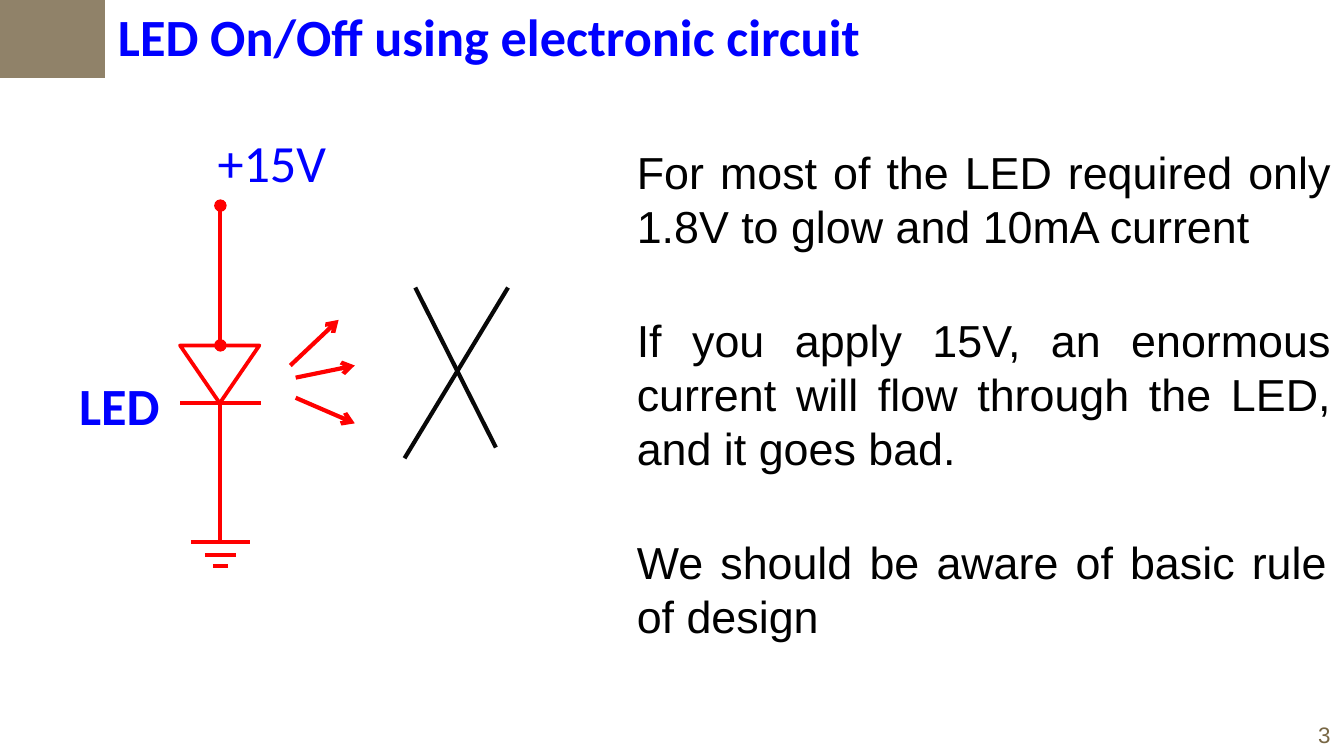
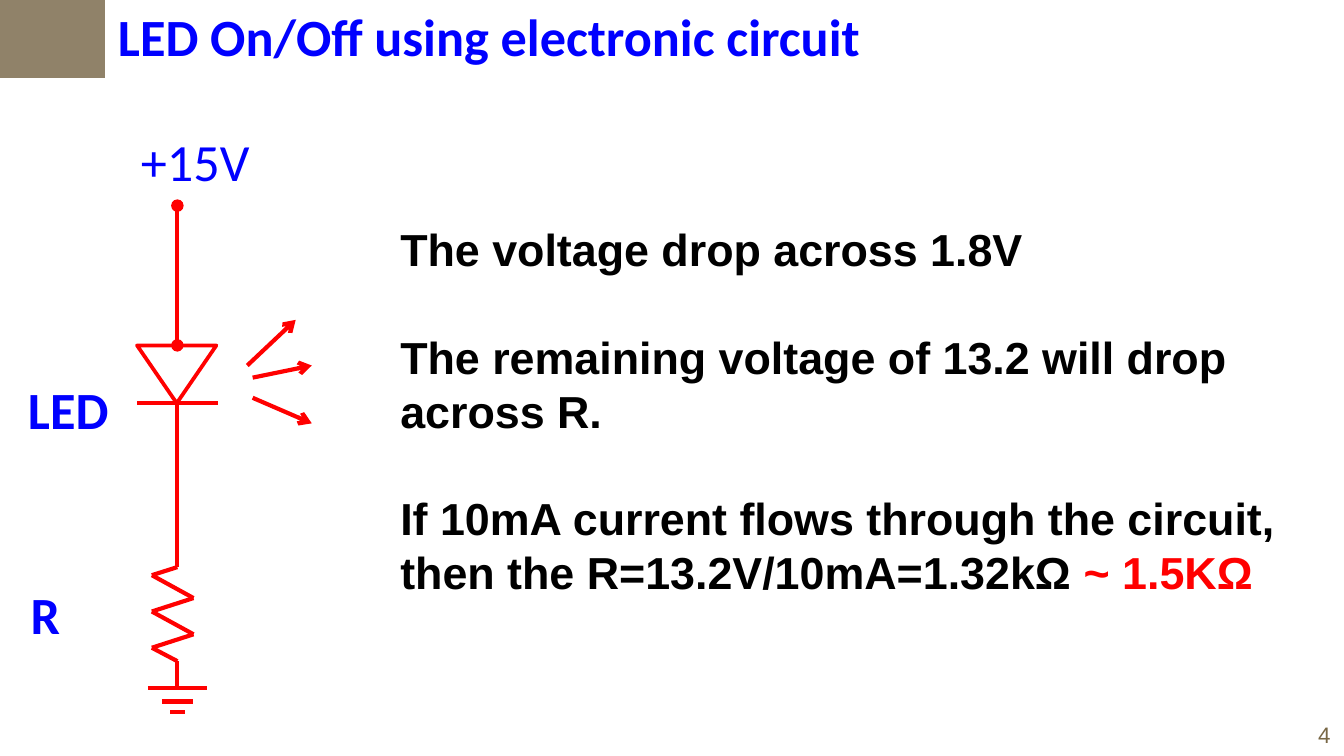
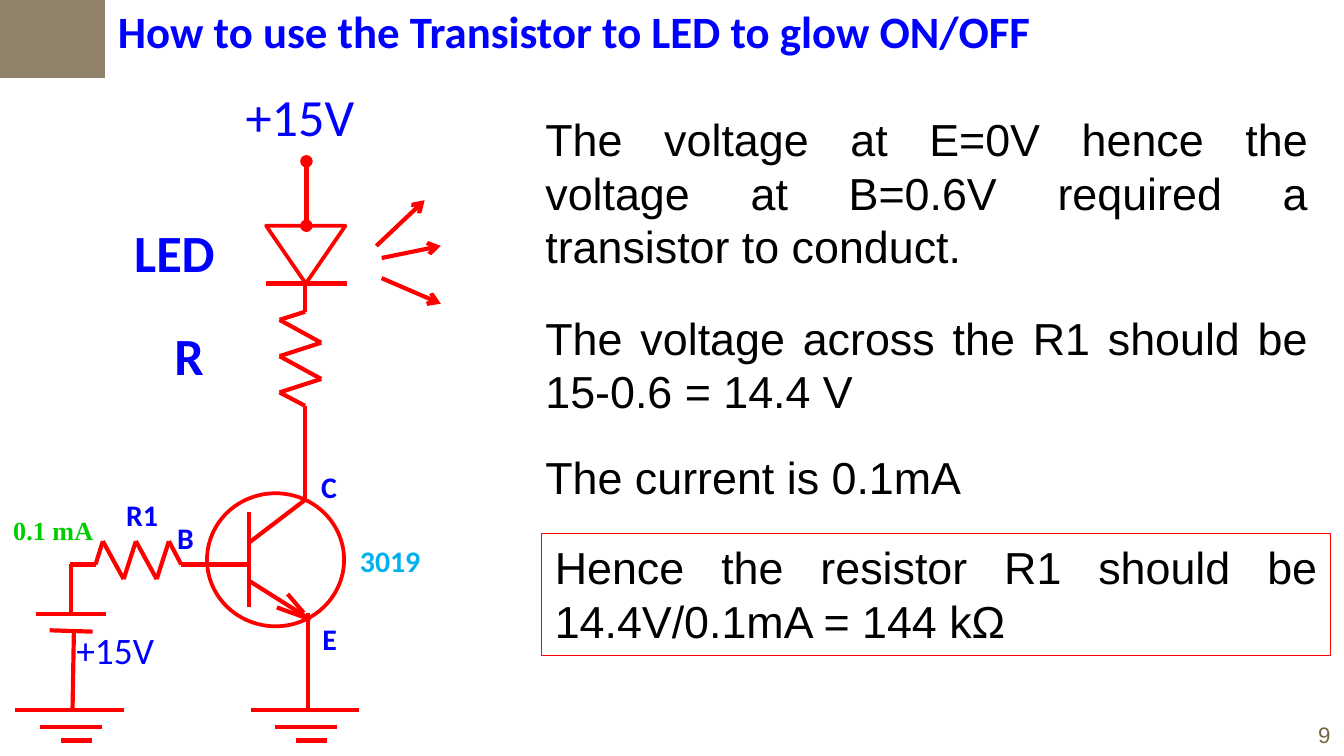
"""Build three slides on switching an LED with a circuit."""
from dataclasses import dataclass
from itertools import pairwise
from typing import NamedTuple, Optional

from lxml import etree
from pptx import Presentation
from pptx.dml.color import RGBColor
from pptx.enum import shapes as kinds, text as layout
from pptx.oxml import ns
from pptx.util import Inches, Pt

BLUE = RGBColor(0x00, 0x00, 0xFF)
RED = RGBColor(0xFF, 0x00, 0x00)
BLACK = RGBColor(0x00, 0x00, 0x00)
CROSS_BLACK = RGBColor(0x08, 0x08, 0x08)
GREEN = RGBColor(0x00, 0xCC, 0x00)
SKY = RGBColor(0x00, 0xB0, 0xF0)
TAUPE = RGBColor(0x90, 0x82, 0x69)
BROWN = RGBColor(0x78, 0x67, 0x45)

SLIDE_WIDTH = Inches(10)
SLIDE_HEIGHT = SLIDE_WIDTH * 9 // 16
WIRE_WIDTH = 2.25
OUTLINE_WIDTH = 2
JUSTIFY = layout.PP_ALIGN.JUSTIFY
LEFT = layout.PP_ALIGN.LEFT


class Box(NamedTuple):
    left: float
    top: float
    width: float
    height: float


class Style(NamedTuple):
    size: int
    colour: RGBColor
    font: str = "Calibri"
    bold: bool = False
    align: layout.PP_ALIGN = LEFT


class Run(NamedTuple):
    text: str
    colour: Optional[RGBColor] = None


class Wire(NamedTuple):
    x1: float
    y1: float
    x2: float
    y2: float
    head: str = ""
    tail: str = ""


class Bar(NamedTuple):
    drop: float
    width: float
    shift: float = 0


@dataclass(frozen=True)
class Caption:
    box: Box
    style: Style
    paragraphs: list[list[Run]]
    gap: int = 0
    wrap: bool = True


TITLE = Style(28, BLUE, bold=True)
SMALL_TITLE = Style(24, BLUE, bold=True)
NUMBER = Style(12, BROWN, "Arial")
BODY = Style(24, BLACK, "Arial", align=JUSTIFY)
BOLD_BODY = Style(24, BLACK, "Arial", bold=True)
VOLTAGE = Style(28, BLUE)
SMALL_VOLTAGE = Style(20, BLUE)
PART = Style(28, BLUE, bold=True)
PIN = Style(16, BLUE, bold=True)
MODEL = Style(16, SKY, bold=True)
CURRENT = Style(14, GREEN, "Times New Roman", bold=True)

RESISTOR = [(0, 0), (0.21, 0), (0.27, -0.19), (0.44, 0.12), (0.54, -0.19),
            (0.71, 0.12), (0.81, -0.19), (0.91, 0), (1.12, 0)]
SMALL_GROUND = [Bar(0, 0.44), Bar(0.1, 0.23), Bar(0.18, 0.11)]
LARGE_GROUND = [Bar(0, 0.81), Bar(0.13, 0.46, 0.01), Bar(0.23, 0.23, 0.05)]
LED_RAYS = [Wire(0.52, 0.15, 0.88, -0.19), Wire(0.56, 0.24, 1, 0.15),
            Wire(0.56, 0.39, 1, 0.58)]
TRANSISTOR = [
    Wire(1.85, 3.81, 1.85, 4.52),
    Wire(2.27, 3.72, 1.85, 4.04),
    Wire(2.31, 4.61, 1.85, 4.32),
    Wire(2.31, 4.61, 2.06, 4.52),
    Wire(2.26, 4.56, 2.14, 4.42),
    Wire(2.29, 4.56, 2.29, 5.27),
    Wire(1.41, 4.2, 1.84, 4.2),
]
BATTERY = [
    Wire(0.53, 4.2, 0.53, 4.58),
    Wire(0.27, 4.57, 0.79, 4.57),
    Wire(0.37, 4.69, 0.69, 4.7),
    Wire(0.55, 4.69, 0.54, 5.27),
]


def plain(text: str, box: Box, style: Style) -> Caption:
    """Return a caption with one paragraph of one run."""
    return Caption(box, style, [[Run(text)]])


def inches(*lengths: float) -> list[Inches]:
    """Convert numbers to lengths."""
    return [Inches(length) for length in lengths]


def fill_text(shape, caption: Caption) -> None:
    """Write the caption into a shape run by run."""
    frame = shape.text_frame
    frame.word_wrap = caption.wrap
    frame.auto_size = layout.MSO_AUTO_SIZE.SHAPE_TO_FIT_TEXT
    frame.vertical_anchor = layout.MSO_ANCHOR.TOP
    style = caption.style
    for index, runs in enumerate(caption.paragraphs):
        paragraph = frame.add_paragraph() if index else frame.paragraphs[0]
        paragraph.alignment = style.align
        if index and caption.gap:
            paragraph.space_before = Pt(caption.gap)
        for part in runs:
            run = paragraph.add_run()
            run.text = part.text
            run.font.name = style.font
            run.font.size = Pt(style.size)
            run.font.bold = style.bold
            run.font.color.rgb = part.colour or style.colour


def add_captions(slide, captions: list[Caption]) -> None:
    """Add a text box for each caption."""
    for caption in captions:
        fill_text(slide.shapes.add_textbox(*inches(*caption.box)), caption)


def add_wire(shapes, wire: Wire, colour: RGBColor = RED) -> None:
    """Draw a straight line with optional end marks."""
    ends = inches(wire.x1, wire.y1, wire.x2, wire.y2)
    connector = shapes.add_connector(kinds.MSO_CONNECTOR.STRAIGHT, *ends)
    connector.line.color.rgb = colour
    connector.line.width = Pt(WIRE_WIDTH)
    properties = connector.element.spPr
    line = properties.find(ns.qn("a:ln"))
    for tag, mark in (("a:headEnd", wire.head), ("a:tailEnd", wire.tail)):
        if mark:
            etree.SubElement(line, ns.qn(tag), type=mark)
    etree.SubElement(properties, ns.qn("a:effectLst"))


def add_wires(shapes, wires: list[Wire], colour: RGBColor = RED) -> None:
    """Draw several lines in one colour."""
    for wire in wires:
        add_wire(shapes, wire, colour)


def add_outline(shapes, kind, box: Box, width: float = OUTLINE_WIDTH):
    """Draw an unfilled preset shape with a red outline."""
    shape = shapes.add_shape(kind, *inches(*box))
    shape.shadow.inherit = False
    shape.fill.background()
    shape.line.color.rgb = RED
    shape.line.width = Pt(width)
    return shape


def add_led(shapes, x: float, y: float, supply: float) -> None:
    """Draw an LED centred on x, fed from the supply height."""
    triangle = add_outline(shapes, kinds.MSO_SHAPE.ISOSCELES_TRIANGLE,
                           Box(x - 0.3, y, 0.59, 0.43))
    triangle.rotation = 180
    add_wire(shapes, Wire(x - 0.3, y + 0.43, x + 0.3, y + 0.43))
    add_wire(shapes, Wire(x, supply, x, y, "oval", "oval"))
    for ray in LED_RAYS:
        add_wire(shapes, Wire(x + ray.x1, y + ray.y1, x + ray.x2, y + ray.y2, tail="arrow"))


def add_resistor(shapes, x: float, y: float, scale: float = 1, horizontal: bool = False) -> None:
    """Draw a zigzag resistor that starts at x, y."""
    points = []
    for along, across in RESISTOR:
        right, down = (along, across) if horizontal else (across, along)
        points.append((x + right * scale, y + down * scale))
    group = shapes.add_group_shape()
    add_wires(group.shapes, [Wire(*start, *end) for start, end in pairwise(points)])


def add_ground(shapes, x: float, y: float, bars: list[Bar]) -> None:
    """Draw the ground bars around x."""
    for bar in bars:
        left = x + bar.shift - bar.width / 2
        add_wire(shapes, Wire(left, y + bar.drop, left + bar.width, y + bar.drop))


def add_slide(presentation, title: str, box: Box, style: Style, number: int):
    """Add a blank slide with its corner band, title and number."""
    slide = presentation.slides.add_slide(presentation.slide_layouts[6])
    band = slide.shapes.add_shape(kinds.MSO_SHAPE.RECTANGLE, *inches(0, -0.02, 0.78, 0.6))
    band.shadow.inherit = False
    band.fill.solid()
    band.fill.fore_color.rgb = TAUPE
    band.line.fill.background()
    add_captions(slide, [
        Caption(box, style, [[Run(title)]], wrap=False),
        Caption(Box(9.71, 5.32, 0.29, 0.3), NUMBER, [[Run(str(number))]], wrap=False),
    ])
    return slide


def build_direct_slide(presentation) -> None:
    """Show the LED wired directly to the supply."""
    slide = add_slide(presentation, "LED On/Off using electronic circuit",
                      Box(0.78, -0.02, 6.8, 0.57), TITLE, 3)
    add_led(slide.shapes, 1.64, 2.57, 1.53)
    add_wire(slide.shapes, Wire(1.64, 2.99, 1.64, 4.03))
    add_ground(slide.shapes, 1.64, 4.03, SMALL_GROUND)
    add_wires(slide.shapes, [Wire(3.09, 2.14, 3.69, 3.33), Wire(3.78, 2.14, 3.01, 3.41)],
              CROSS_BLACK)
    add_captions(slide, [
        plain("+15V", Box(1.52, 0.92, 1.78, 0.57), VOLTAGE),
        plain("LED", Box(0.49, 2.73, 1.08, 0.57), PART),
        plain("For most of the LED required only 1.8V to glow and 10mA current",
              Box(4.64, 1.03, 5.36, 0.91), BODY),
        plain("If you apply 15V, an enormous current will flow through the LED, "
              "and it goes bad.", Box(4.64, 2.28, 5.36, 1.31), BODY),
        plain("We should be aware of basic rule of design",
              Box(4.64, 3.93, 5.33, 0.91), BODY),
    ])


def build_resistor_slide(presentation) -> None:
    """Show the LED with a series resistor."""
    slide = add_slide(presentation, "LED On/Off using electronic circuit",
                      Box(0.78, -0.02, 6.8, 0.57), TITLE, 4)
    add_led(slide.shapes, 1.32, 2.57, 1.53)
    add_wire(slide.shapes, Wire(1.32, 2.99, 1.32, 4.03))
    add_resistor(slide.shapes, 1.32, 4.01)
    add_ground(slide.shapes, 1.32, 5.12, SMALL_GROUND)
    explanation = [
        [Run("The voltage drop across 1.8V")],
        [Run("The remaining voltage of 13.2 will drop across R.")],
        [Run("If 10mA current flows through the circuit, then the R=13.2V/10mA=1.32kΩ "),
         Run("~ 1.5KΩ", RED)],
    ]
    add_captions(slide, [
        plain("+15V", Box(0.95, 0.91, 1.78, 0.57), VOLTAGE),
        plain("LED", Box(0.11, 2.76, 1.08, 0.57), PART),
        plain("R", Box(0.13, 4.28, 1.08, 0.57), PART),
        Caption(Box(2.88, 1.6, 7.09, 2.93), BOLD_BODY, explanation, gap=29),
    ])


def build_transistor_slide(presentation) -> None:
    """Show the LED switched by a transistor."""
    slide = add_slide(presentation, "How to use the Transistor to LED to glow ON/OFF",
                      Box(0.78, -0.02, 8.2, 0.5), SMALL_TITLE, 9)
    add_led(slide.shapes, 2.28, 1.68, 1.2)
    add_resistor(slide.shapes, 2.27, 2.11)
    add_wire(slide.shapes, Wire(2.27, 3.02, 2.27, 3.73))
    transistor = slide.shapes.add_group_shape()
    add_outline(transistor.shapes, kinds.MSO_SHAPE.OVAL, Box(1.54, 3.67, 1.02, 0.99))
    add_wires(transistor.shapes, TRANSISTOR)
    add_resistor(slide.shapes, 0.52, 4.2, scale=0.91, horizontal=True)
    add_wires(slide.shapes, BATTERY)
    for x in (0.52, 2.27):
        add_ground(slide.shapes, x, 5.28, LARGE_GROUND)
    add_captions(slide, [
        plain("+15V", Box(1.73, 0.58, 1.78, 0.57), VOLTAGE),
        plain("LED", Box(0.9, 1.59, 1.08, 0.57), PART),
        plain("R", Box(1.2, 2.36, 0.44, 0.57), PART),
        plain("+15V", Box(0.47, 4.62, 0.93, 0.44), SMALL_VOLTAGE),
        plain("R1", Box(0.84, 3.65, 0.72, 0.37), PIN),
        plain("0.1 mA", Box(0, 3.78, 0.82, 0.34), CURRENT),
        plain("B", Box(1.22, 3.82, 0.72, 0.37), PIN),
        plain("C", Box(2.29, 3.44, 0.72, 0.37), PIN),
        plain("E", Box(2.3, 4.57, 0.72, 0.37), PIN),
        plain("3019", Box(2.58, 3.99, 0.88, 0.37), MODEL),
        plain("The voltage at E=0V hence the voltage at B=0.6V required a transistor "
              "to conduct.", Box(3.96, 0.78, 5.87, 1.31), BODY),
        plain("The voltage across the R1 should be 15-0.6 = 14.4 V",
              Box(3.96, 2.26, 5.87, 0.91), BODY),
        plain("The current is 0.1mA", Box(3.96, 3.3, 5.87, 0.5), BODY),
    ])
    result = plain("Hence the resistor R1 should be 14.4V/0.1mA = 144 kΩ",
                   Box(4.03, 3.97, 5.87, 0.91), BODY)
    fill_text(add_outline(slide.shapes, kinds.MSO_SHAPE.RECTANGLE, result.box, 0.75), result)


def main() -> None:
    """Build and save the presentation."""
    presentation = Presentation()
    presentation.slide_width = SLIDE_WIDTH
    presentation.slide_height = SLIDE_HEIGHT
    build_direct_slide(presentation)
    build_resistor_slide(presentation)
    build_transistor_slide(presentation)
    presentation.save("out.pptx")


if __name__ == "__main__":
    main()
